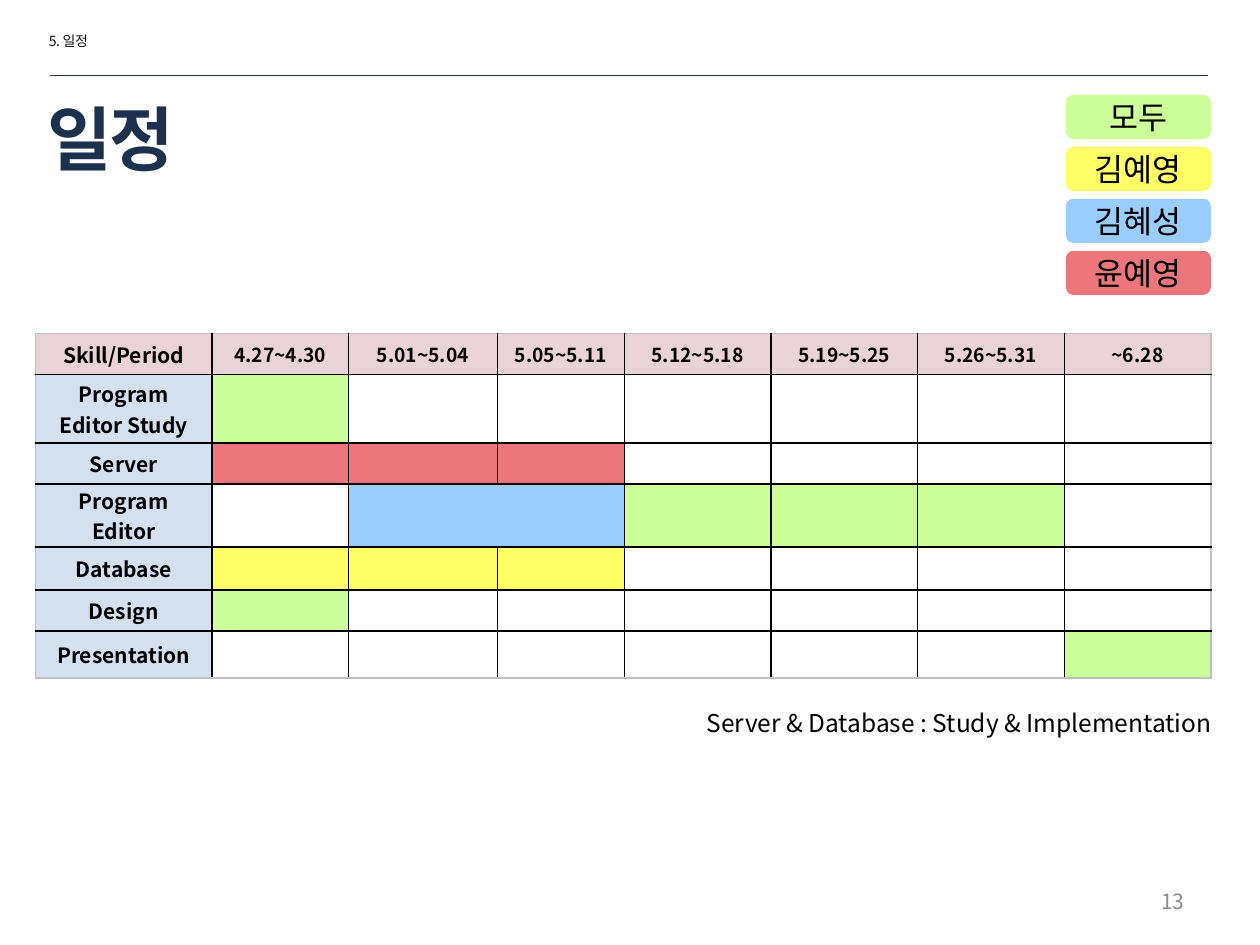
from dataclasses import dataclass

from lxml.etree import SubElement
from pptx import Presentation
from pptx.dml.color import RGBColor
from pptx.enum.shapes import MSO_CONNECTOR, MSO_SHAPE
from pptx.enum.text import MSO_ANCHOR, PP_ALIGN
from pptx.oxml.ns import qn
from pptx.util import Pt


@dataclass(frozen=True)
class Theme:
    font: str = "Noto Sans CJK KR"
    black: str = "000000"
    ink: str = "0D0D0D"
    navy: str = "1C314E"
    gray: str = "8C8C8C"
    edge: str = "BFBFBF"
    header: str = "EAD3D8"
    skill: str = "D4DFEF"
    everyone: str = "CCFF99"
    yellow: str = "FFFF66"
    blue: str = "99CCFF"
    red: str = "EC767C"
    crumb_size: float = 8
    title_size: float = 40
    legend_size: float = 18
    note_size: float = 14
    label_size: float = 12
    period_size: float = 11


T = Theme()
LEGEND = [("모두", T.everyone), ("김예영", T.yellow), ("김혜성", T.blue), ("윤예영", T.red)]
COLORS = {"A": T.everyone, "Y": T.yellow, "B": T.blue, "R": T.red, ".": None}
PERIODS = ["4.27~4.30", "5.01~5.04", "5.05~5.11", "5.12~5.18",
           "5.19~5.25", "5.26~5.31", "~6.28"]
# One letter per period: who works on the skill
SCHEDULE = [
    ("Program Editor Study", "A......"),
    ("Server", "RRR...."),
    ("Program Editor", ".BBAAA."),
    ("Database", "YYY...."),
    ("Design", "A......"),
    ("Presentation", "......A"),
]
COL_WIDTHS = [101, 78, 85, 72.6] + [83.8] * 4
ROW_HEIGHTS = [23.5, 39, 23.5, 36, 24.5, 23.5, 27]


def set_attrs(obj, values):
    for name, value in values.items():
        setattr(obj, name, value)


def write(tf, text, size, color=T.black, bold=False, align=PP_ALIGN.LEFT, spacing=0):
    p = tf.paragraphs[0]
    p.alignment = align
    r = p.add_run()
    r.text = text
    set_attrs(r.font, {"size": Pt(size), "bold": bold, "name": T.font})
    r.font.color.rgb = RGBColor.from_string(color)
    rPr = r.font._element
    SubElement(rPr, qn("a:ea"), typeface=T.font)
    if spacing:
        rPr.set("spc", str(round(spacing * 100)))


def add_text(s, box, text, size, anchor=MSO_ANCHOR.TOP, **style):
    tf = s.shapes.add_textbox(*map(Pt, box)).text_frame
    set_attrs(tf, {"word_wrap": True, "vertical_anchor": anchor})
    write(tf, text, size, **style)


def add_rule(s, x1, x2, y):
    line = s.shapes.add_connector(MSO_CONNECTOR.STRAIGHT, Pt(x1), Pt(y), Pt(x2), Pt(y))
    line.line.color.rgb = RGBColor.from_string(T.navy)
    line.line.width = Pt(0.25)
    SubElement(line._element.spPr, qn("a:effectLst"))


def add_legend(s, left, top, step):
    for i, (name, color) in enumerate(LEGEND):
        sp = s.shapes.add_shape(MSO_SHAPE.ROUNDED_RECTANGLE, Pt(left), Pt(top + i * step),
                                Pt(82.8), Pt(25.2))
        sp.shadow.inherit = False
        sp.fill.solid()
        sp.fill.fore_color.rgb = RGBColor.from_string(color)
        sp.line.fill.background()
        sp.text_frame.vertical_anchor = MSO_ANCHOR.MIDDLE
        write(sp.text_frame, name, T.legend_size, align=PP_ALIGN.CENTER)


def set_borders(cell, outer):
    """Draw the four cell edges, with those on the table's outside in gray."""
    tcPr = cell._tc.get_or_add_tcPr()
    for side in "LRTB":
        ln = SubElement(tcPr, qn(f"a:ln{side}"), w=str(Pt(1)))
        fill = SubElement(ln, qn("a:solidFill"))
        SubElement(fill, qn("a:srgbClr"), val=T.edge if side in outer else T.black)


def format_cell(cell, color, outer):
    set_borders(cell, outer)
    set_attrs(cell, {"vertical_anchor": MSO_ANCHOR.MIDDLE,
                     "margin_top": Pt(0), "margin_bottom": Pt(0)})
    if color:
        cell.fill.solid()
        cell.fill.fore_color.rgb = RGBColor.from_string(color)
    else:
        cell.fill.background()


def add_schedule(s, left, top):
    rows, cols = len(ROW_HEIGHTS), len(COL_WIDTHS)
    table = s.shapes.add_table(rows, cols, Pt(left), Pt(top),
                               Pt(sum(COL_WIDTHS)), Pt(sum(ROW_HEIGHTS))).table
    set_attrs(table, {"first_row": False, "horz_banding": False})
    for col, width in zip(table.columns, COL_WIDTHS):
        col.width = Pt(width)
    for row, height in zip(table.rows, ROW_HEIGHTS):
        row.height = Pt(height)

    grid = [[(text, T.header) for text in ["Skill/Period"] + PERIODS]]
    for skill, marks in SCHEDULE:
        grid.append([(skill, T.skill)] + [("", COLORS[m]) for m in marks])
    for i, line in enumerate(grid):
        for j, (text, color) in enumerate(line):
            cell = table.cell(i, j)
            edges = {"L": j == 0, "R": j == cols - 1, "T": i == 0, "B": i == rows - 1}
            format_cell(cell, color, [side for side, on in edges.items() if on])
            if text:
                write(cell.text_frame, text, T.period_size if j else T.label_size,
                      bold=True, align=PP_ALIGN.CENTER)
            else:
                # Keeps an empty cell from stretching its row
                SubElement(cell.text_frame.paragraphs[0]._p, qn("a:endParaRPr"),
                           sz=str(T.period_size * 100))
    table.cell(3, 2).merge(table.cell(3, 3))


def main():
    prs = Presentation()
    set_attrs(prs, {"slide_width": Pt(720), "slide_height": Pt(540)})
    s = prs.slides.add_slide(prs.slide_layouts[6])
    add_text(s, (20.9, 15.1, 124.6, 17.3), "5. 일정", T.crumb_size, color=T.ink, spacing=-0.3)
    add_rule(s, 28.8, 690.5, 43.2)
    add_schedule(s, 20.2, 190.6)
    add_legend(s, 609.1, 54.2, 29.7)
    add_text(s, (20.2, 55.4, 550.8, 46.1), "일정", T.title_size, MSO_ANCHOR.MIDDLE,
             color=T.navy, bold=True, spacing=-1.5)
    add_text(s, (396.7, 401, 323.3, 24.5), "Server & Database : Study & Implementation",
             T.note_size)
    add_text(s, (516.2, 500.4, 167.8, 28.8), "13", T.label_size, MSO_ANCHOR.MIDDLE,
             color=T.gray, align=PP_ALIGN.RIGHT)
    prs.save("out.pptx")


if __name__ == "__main__":
    main()
